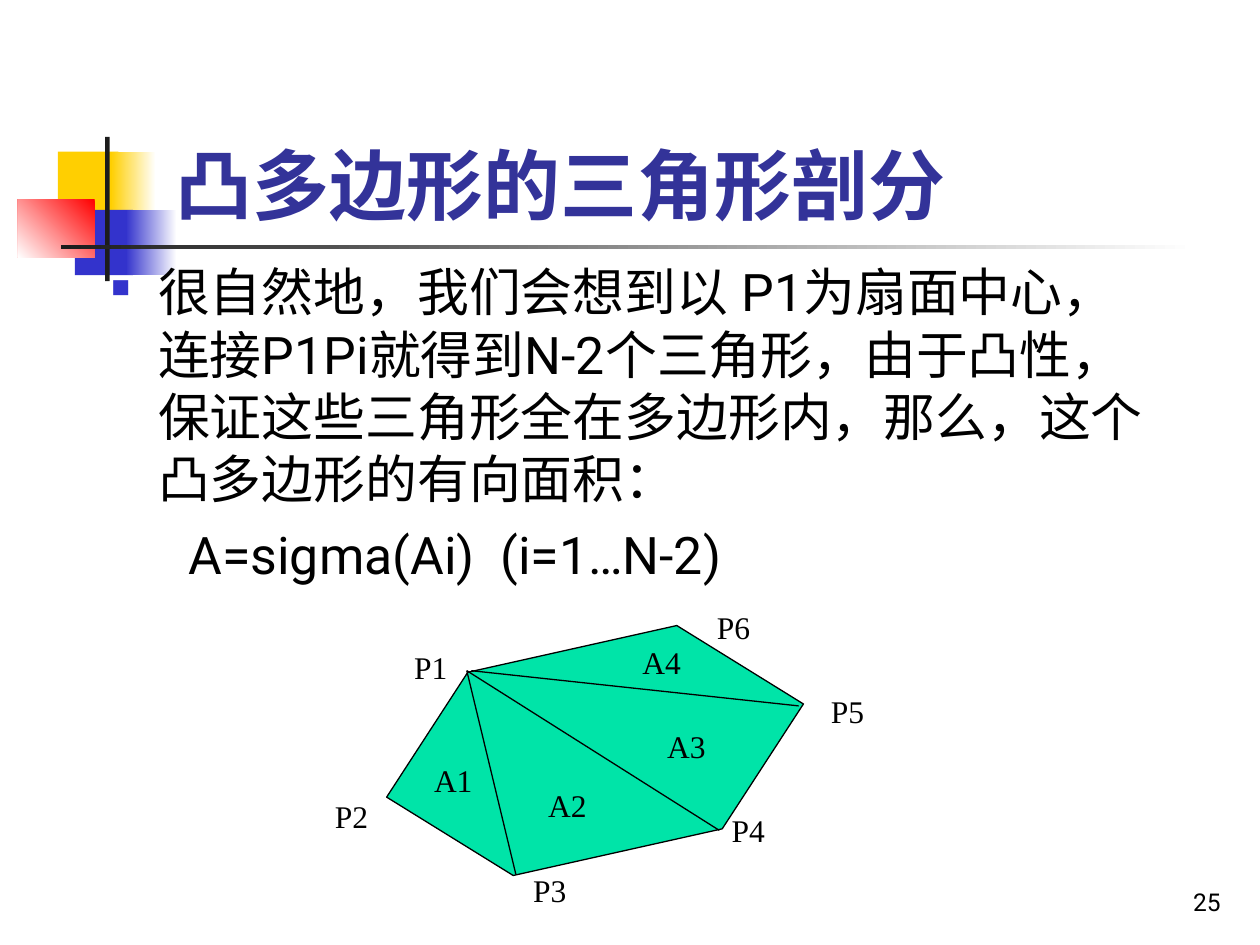
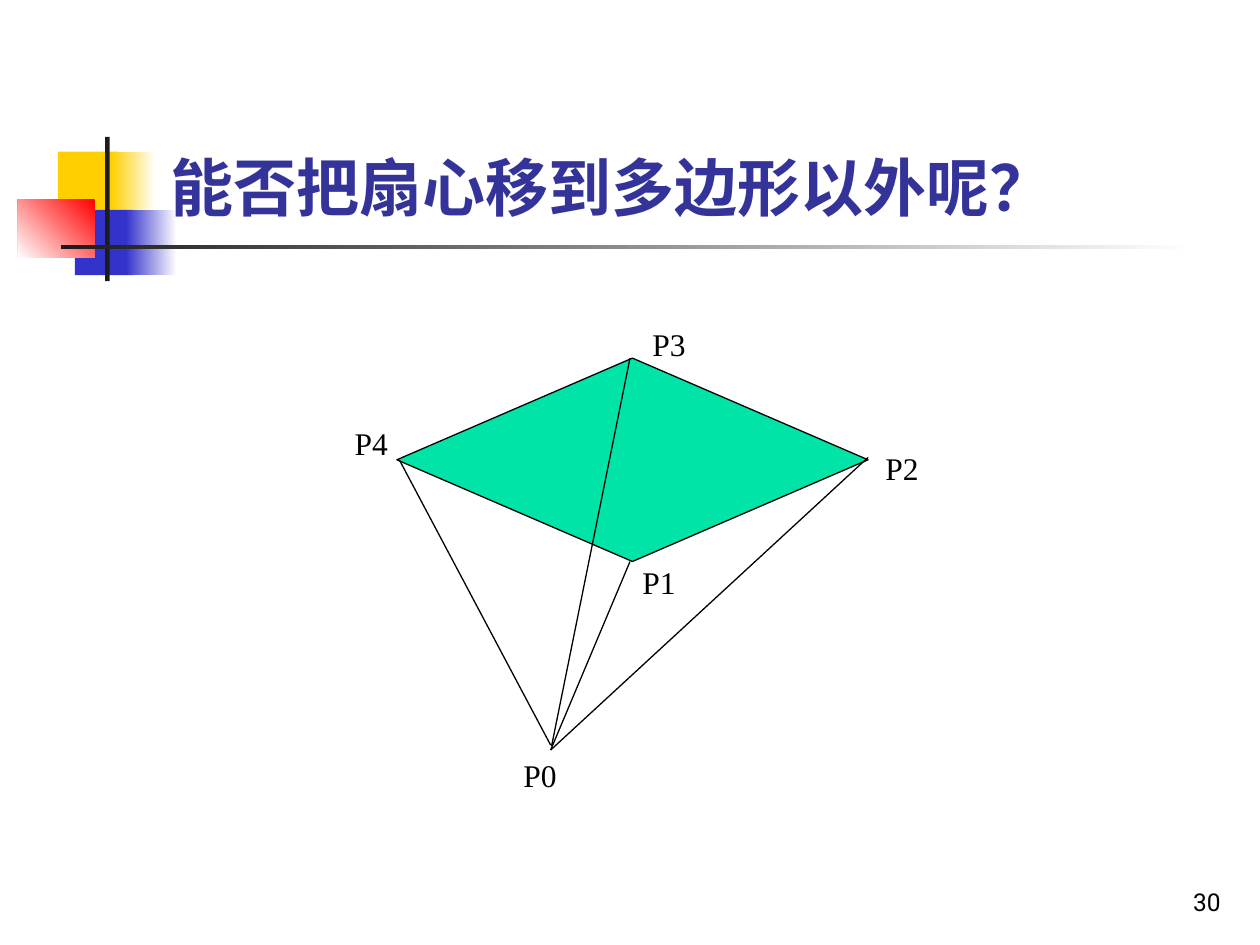
"""Build two slides on splitting a polygon into a fan of triangles."""
from dataclasses import dataclass
from typing import Optional

from lxml import etree
from pptx import Presentation
from pptx import util as u
from pptx.dml.color import RGBColor
from pptx.enum import shapes, text
from pptx.oxml.ns import qn
from pptx.shapes.autoshape import Shape
from pptx.shapes.group import GroupShape
from pptx.slide import Slide

WHITE = RGBColor(0xFF, 0xFF, 0xFF)
BLACK = RGBColor(0x00, 0x00, 0x00)
YELLOW = RGBColor(0xFF, 0xCF, 0x01)
BLUE = RGBColor(0x33, 0x33, 0xCC)
RED = RGBColor(0xFF, 0x00, 0x00)
CHARCOAL = RGBColor(0x1C, 0x1C, 0x1C)
TITLE_BLUE = RGBColor(0x33, 0x33, 0x99)
POLYGON_GREEN = RGBColor(0x00, 0xE4, 0xA8)
SLIDE_FONT = "Roboto"
LABEL_FONT = "Times New Roman"
LABEL_SIZE = (1.6, 1.02)
OUTLINE_WIDTH = u.Pt(0.75)


@dataclass(frozen=True)
class Box:
    """A rectangle in centimetres."""

    left: float
    top: float
    width: float
    height: float

    def lengths(self) -> tuple:
        """Return the four sides as lengths."""
        return tuple(u.Cm(n) for n in (self.left, self.top, self.width, self.height))


@dataclass(frozen=True)
class Block:
    """A decorative block, plain or fading between two colours."""

    box: Box
    color: RGBColor
    fade_to: Optional[RGBColor] = None
    angle: float = 0


@dataclass(frozen=True)
class Style:
    """The look of a piece of text."""

    size: float
    color: RGBColor = BLACK
    font: str = SLIDE_FONT
    bold: bool = False
    anchor: text.MSO_ANCHOR = text.MSO_ANCHOR.TOP
    align: text.PP_ALIGN = text.PP_ALIGN.LEFT


@dataclass(frozen=True)
class Polygon:
    """The filled polygon of a diagram."""

    kind: shapes.MSO_SHAPE
    box: Box
    rotation: float = 0
    corner: Optional[float] = None


@dataclass(frozen=True)
class Edge:
    """A straight line between two points in centimetres."""

    x1: float
    y1: float
    x2: float
    y2: float


@dataclass(frozen=True)
class Label:
    """A short name placed by its top left corner."""

    name: str
    left: float
    top: float


DECORATION = (
    Block(Box(1.17, 3.06, 1.22, 1.32), YELLOW),
    Block(Box(2.24, 3.06, 0.9, 1.32), WHITE, YELLOW, 180),
    Block(Box(1.51, 4.23, 1.17, 1.32), BLUE),
    Block(Box(2.54, 4.23, 1.02, 1.32), WHITE, BLUE, 180),
    Block(Box(0.36, 4.02, 1.55, 1.17), RED, WHITE, 225),
    Block(Box(2.12, 2.76, 0.09, 2.91), CHARCOAL),
    Block(Box(1.23, 4.94, 22.86, 0.09), WHITE, CHARCOAL, 180),
)
NUMBER_BOX = Box(19.58, 17.33, 5.28, 1.27)
BODY_BOX = Box(1.99, 5.12, 21.59, 6.93)
BODY_STYLE = Style(29.6)
LABEL_STYLE = Style(18, font=LABEL_FONT)
NUMBER_STYLE = Style(14, anchor=text.MSO_ANCHOR.BOTTOM, align=text.PP_ALIGN.RIGHT)

BODY_TEXT = (
    "很自然地，我们会想到以 P1为扇面中心，连接P1Pi就得到N-2个三角形，"
    "由于凸性，保证这些三角形全在多边形内，那么，这个凸多边形的有向面积："
)
FORMULA = "A=sigma(Ai)  (i=1…N-2)"

HEXAGON = Polygon(shapes.MSO_SHAPE.HEXAGON, Box(7.69, 13.03, 8.61, 4.2), 347.4, 0.511)
HEXAGON_EDGES = (
    Edge(9.41, 13.52, 10.4, 17.63),
    Edge(9.41, 13.52, 14.5, 16.74),
    Edge(9.5, 13.52, 16.1, 14.23),
)
HEXAGON_LABELS = (
    Label("P1", 8.1, 12.93),
    Label("P2", 6.5, 15.94),
    Label("P3", 10.5, 17.43),
    Label("P4", 14.5, 16.23),
    Label("P5", 16.5, 13.82),
    Label("P6", 14.2, 12.13),
    Label("A1", 8.5, 15.22),
    Label("A2", 10.8, 15.72),
    Label("A3", 13.2, 14.53),
    Label("A4", 12.7, 12.83),
)
DIAMOND = Polygon(shapes.MSO_SHAPE.DIAMOND, Box(8, 7.22, 9.5, 4.1))
DIAMOND_EDGES = (
    Edge(11.1, 15.12, 17.5, 9.22),
    Edge(11.1, 15.12, 12.7, 11.32),
    Edge(11.12, 15.04, 12.7, 7.22),
    Edge(8.05, 9.27, 11.1, 15.02),
)
DIAMOND_LABELS = (
    Label("P0", 10.3, 15.12),
    Label("P1", 12.7, 11.23),
    Label("P2", 17.6, 8.92),
    Label("P3", 12.9, 6.43),
    Label("P4", 6.9, 8.43),
)


def add_block(slide: Slide, block: Block) -> None:
    """Draw one decorative block."""
    shape = slide.shapes.add_shape(shapes.MSO_SHAPE.RECTANGLE, *block.box.lengths())
    shape.shadow.inherit = False
    shape.line.fill.background()
    if block.fade_to is None:
        shape.fill.solid()
        shape.fill.fore_color.rgb = block.color
        return
    shape.fill.gradient()
    shape.fill.gradient_angle = block.angle
    for stop, color in zip(shape.fill.gradient_stops, (block.color, block.fade_to)):
        stop.color.rgb = color


def add_text(parent: Slide | GroupShape, box: Box, content: str, style: Style) -> Shape:
    """Add a wrapped text box in the given style."""
    shape = parent.shapes.add_textbox(*box.lengths())
    text_frame = shape.text_frame
    text_frame.word_wrap = True
    text_frame.vertical_anchor = style.anchor
    text_frame.text = content
    for paragraph in text_frame.paragraphs:
        paragraph.alignment = style.align
        for run in paragraph.runs:
            run.font.size = u.Pt(style.size)
            run.font.name = style.font
            run.font.bold = style.bold
            run.font.color.rgb = style.color
            properties = run.font._element
            etree.SubElement(properties, qn("a:ea"), typeface=style.font)
    return shape


def add_body(slide: Slide) -> None:
    """Add the bulleted explanation and the indented formula."""
    shape = add_text(slide, BODY_BOX, f"{BODY_TEXT}\n{FORMULA}", BODY_STYLE)
    bulleted, formula = shape.text_frame.paragraphs
    for paragraph, margin, indent in ((bulleted, 0.95, -0.95), (formula, 1.56, 0)):
        paragraph.space_before = u.Pt(8)
        properties = paragraph._p.get_or_add_pPr()
        properties.set("marL", str(u.Cm(margin)))
        properties.set("indent", str(u.Cm(indent)))
        properties.set("hangingPunct", "0")
    properties = bulleted._p.get_or_add_pPr()
    bullet_color = etree.SubElement(properties, qn("a:buClr"))
    etree.SubElement(bullet_color, qn("a:srgbClr"), val=str(BLUE))
    etree.SubElement(properties, qn("a:buSzPct"), val="50000")
    etree.SubElement(properties, qn("a:buChar"), char="■")


def add_polygon(group: GroupShape, polygon: Polygon) -> None:
    """Draw the filled polygon."""
    shape = group.shapes.add_shape(polygon.kind, *polygon.box.lengths())
    shape.shadow.inherit = False
    shape.rotation = polygon.rotation
    if polygon.corner is not None:
        shape.adjustments[0] = polygon.corner
    shape.fill.solid()
    shape.fill.fore_color.rgb = POLYGON_GREEN
    shape.line.color.rgb = BLACK
    shape.line.width = OUTLINE_WIDTH


def add_edge(group: GroupShape, edge: Edge) -> None:
    """Draw one straight line."""
    ends = (u.Cm(n) for n in (edge.x1, edge.y1, edge.x2, edge.y2))
    connector = group.shapes.add_connector(shapes.MSO_CONNECTOR.STRAIGHT, *ends)
    connector.line.color.rgb = BLACK
    connector.line.width = OUTLINE_WIDTH
    etree.SubElement(connector._element.spPr, qn("a:effectLst"))


def add_diagram(
    slide: Slide, polygon: Polygon, edges: tuple[Edge, ...], labels: tuple[Label, ...]
) -> None:
    """Draw a polygon with its fan lines and labels as one group."""
    group = slide.shapes.add_group_shape()
    add_polygon(group, polygon)
    for edge in edges:
        add_edge(group, edge)
    for label in labels:
        add_text(group, Box(label.left, label.top, *LABEL_SIZE), label.name, LABEL_STYLE)


def add_slide(
    presentation: Presentation, title: str, title_box: Box, title_size: float, number: int
) -> Slide:
    """Add a slide with the shared decoration, title and number."""
    slide = presentation.slides.add_slide(presentation.slide_layouts[6])
    for block in DECORATION:
        add_block(slide, block)
    title_style = Style(title_size, TITLE_BLUE, bold=True, anchor=text.MSO_ANCHOR.BOTTOM)
    add_text(slide, title_box, title, title_style)
    add_text(slide, NUMBER_BOX, str(number), NUMBER_STYLE)
    return slide


def main() -> None:
    """Build and save the presentation."""
    presentation = Presentation()
    presentation.slide_width = u.Cm(25.4)
    presentation.slide_height = u.Cm(19.05)

    convex = add_slide(
        presentation, "凸多边形的三角形剖分", Box(3.29, 1.52, 17.81, 3.23), 44, 25
    )
    add_body(convex)
    add_diagram(convex, HEXAGON, HEXAGON_EDGES, HEXAGON_LABELS)

    outside = add_slide(
        presentation, "能否把扇心移到多边形以外呢？", Box(3.19, 2.72, 20.6, 1.93), 36, 30
    )
    add_diagram(outside, DIAMOND, DIAMOND_EDGES, DIAMOND_LABELS)
    presentation.save("out.pptx")


if __name__ == "__main__":
    main()
